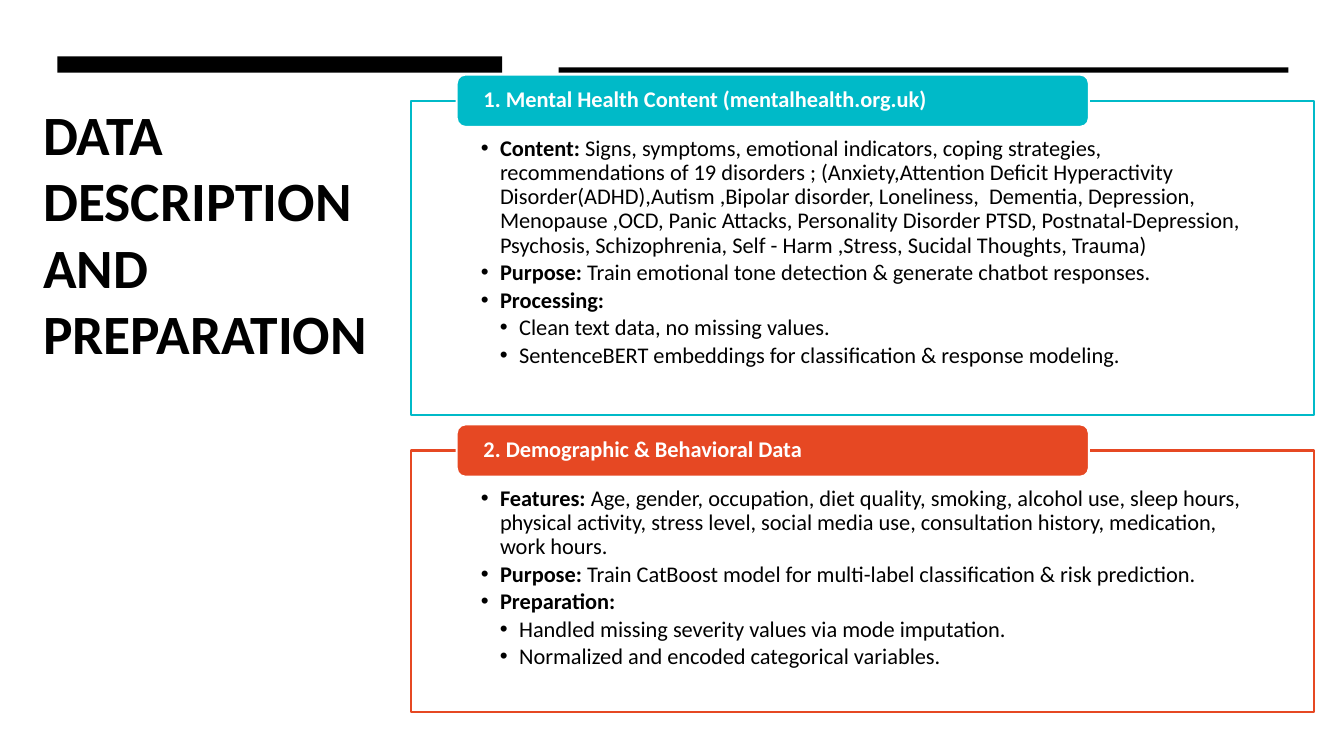
"""Build the slide on data description and preparation."""
from lxml import etree
from pptx import Presentation
from pptx import util as u
from pptx.dml.color import RGBColor
from pptx.enum import shapes, text
from pptx.oxml.ns import qn

BLACK = RGBColor(0x00, 0x00, 0x00)
WHITE = RGBColor(0xFF, 0xFF, 0xFF)
TEAL = RGBColor(0x00, 0xBA, 0xC8)
ORANGE = RGBColor(0xE6, 0x48, 0x23)

prs = Presentation()
prs.slide_width, prs.slide_height = u.Inches(13.33), u.Inches(7.5)
s = prs.slides.add_slide(prs.slide_layouts[6])


def add_box(kind, left, top, width, height, fill, line=None, insets=(0.1, 0.05, 0.1, 0.05)):
    """Add a shape placed in percent of the slide's size."""
    w, h = prs.slide_width / 100, prs.slide_height / 100
    sp = s.shapes.add_shape(kind, int(left * w), int(top * h), int(width * w), int(height * h))
    sp.shadow.inherit = False
    sp.fill.solid()
    sp.fill.fore_color.rgb = fill
    if line is None:
        sp.line.fill.background()
    else:
        sp.line.color.rgb = line
        sp.line.width = u.Pt(1.5)
    tf = sp.text_frame
    tf.word_wrap = True
    tf.vertical_anchor = text.MSO_ANCHOR.TOP
    tf.margin_left, tf.margin_top, tf.margin_right, tf.margin_bottom = map(u.Inches, insets)
    return sp


def add_text(tf, body, lead="", level=0, size=16, color=BLACK, bold=False, spacing=0.9, after=0):
    """Add a paragraph with an optional bold lead; a level above 0 gives it a bullet."""
    p = tf.paragraphs[0] if not tf.text else tf.add_paragraph()
    p.alignment = text.PP_ALIGN.LEFT
    p.line_spacing, p.space_after = spacing, u.Pt(after)
    if level:
        p.level = level
        pPr = p._p.get_or_add_pPr()
        pPr.set("marL", str(u.Inches(0.19 * level)))
        pPr.set("indent", str(u.Inches(-0.19)))
        etree.SubElement(pPr, qn("a:buFont")).set("typeface", "Arial")
        etree.SubElement(pPr, qn("a:buChar")).set("char", "•")
    for part, heavy in ((lead, True), (body, bold)):
        if part:
            r = p.add_run()
            r.text = part
            r.font.name, r.font.size, r.font.bold = "Calibri", u.Pt(size), heavy
            r.font.color.rgb = color


RECT, ROUND = shapes.MSO_SHAPE.RECTANGLE, shapes.MSO_SHAPE.ROUNDED_RECTANGLE

title = add_box(RECT, 2.48, 12.53, 30.98, 39.73, WHITE)
add_text(title.text_frame, "DATA DESCRIPTION AND PREPARATION", size=39.6, bold=True, spacing=1.0)

add_box(RECT, 4.28, 7.47, 33.08, 2.13, BLACK)
add_box(RECT, 41.56, 8.93, 54.31, 0.67, BLACK)

sections = [
    ("1. Mental Health Content (mentalhealth.org.uk)", TEAL, 13.33, 41.6, [
        (1, "Content:", " Signs, symptoms, emotional indicators, coping strategies, "
         "recommendations of 19 disorders ; (Anxiety,Attention Deficit Hyperactivity "
         "Disorder(ADHD),Autism ,Bipolar disorder, Loneliness,  Dementia, Depression, "
         "Menopause ,OCD, Panic Attacks, Personality Disorder PTSD, Postnatal-Depression, "
         "Psychosis, Schizophrenia, Self - Harm ,Stress, Sucidal Thoughts, Trauma)"),
        (1, "Purpose:", " Train emotional tone detection & generate chatbot responses."),
        (1, "Processing:", ""),
        (2, "", "Clean text data, no missing values."),
        (2, "", "SentenceBERT embeddings for classification & response modeling."),
    ]),
    ("2. Demographic & Behavioral Data", ORANGE, 59.6, 34.53, [
        (1, "Features:", " Age, gender, occupation, diet quality, smoking, alcohol use, "
         "sleep hours, physical activity, stress level, social media use, consultation "
         "history, medication, work hours."),
        (1, "Purpose:", " Train CatBoost model for multi-label classification & risk prediction."),
        (1, "Preparation:", ""),
        (2, "", "Handled missing severity values via mode imputation."),
        (2, "", "Normalized and encoded categorical variables."),
    ]),
]
TAB_HEIGHT = 6.93

for heading, color, top, height, bullets in sections:
    panel = add_box(RECT, 30.6, top, 67.14, height, WHITE, color, (0.69, 0.36, 0.69, 0.12))
    for level, lead, body in bullets:
        add_text(panel.text_frame, body, lead=lead, level=level, after=2.4)
    tab = add_box(ROUND, 33.98, top - TAB_HEIGHT / 2, 47.04, TAB_HEIGHT, color, WHITE,
                  (0.24, 0, 0.24, 0))
    tab.text_frame.vertical_anchor = text.MSO_ANCHOR.MIDDLE
    add_text(tab.text_frame, heading, color=WHITE, bold=True)

prs.save("out.pptx")
